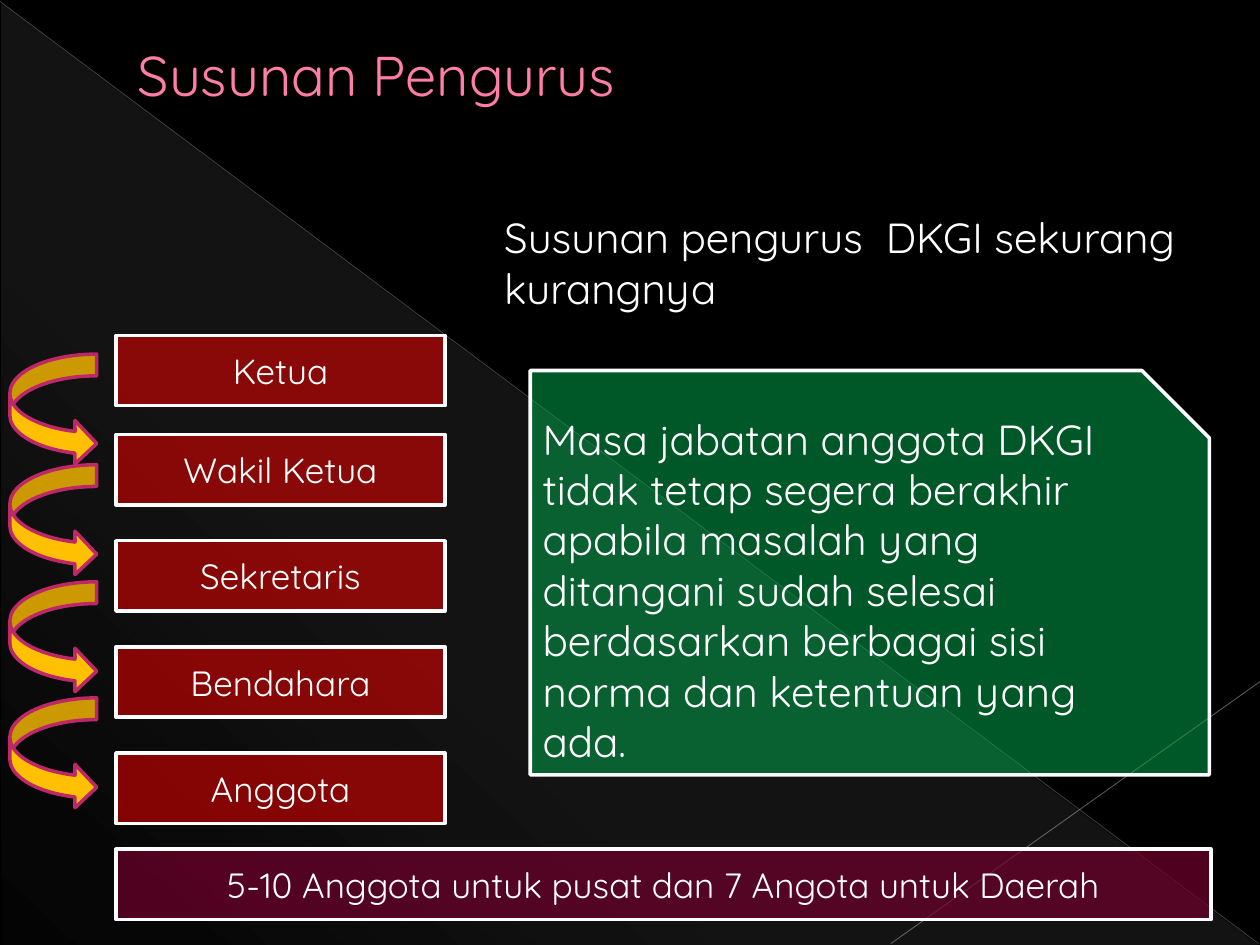
from lxml.etree import SubElement
from pptx import Presentation
from pptx.dml.color import RGBColor
from pptx.enum.shapes import MSO_CONNECTOR as Connector, MSO_SHAPE as Shape
from pptx.enum.text import MSO_ANCHOR as Anchor, MSO_AUTO_SIZE as AutoSize, PP_ALIGN as Align
from pptx.oxml import parse_xml
from pptx.oxml.ns import nsdecls, qn
from pptx.util import Cm, Pt

FONT = "Quicksand"
COLORS = {
    "background": "000000",
    "sheen": "D2D2D2",
    "diagonal": "BFBFBF",
    "corner": "C6C6C6",
    "title": "FF7DA7",
    "title_outline": "B12761",
    "white": "FFFFFF",
    "role": "FF0000",
    "members": "72002C",
    "term": "00B050",
    "arrow": "FFC000",
    "arrow_line": "BD2968",
}
ROLES = ["Ketua", "Wakil Ketua", "Sekretaris", "Bendahara", "Anggota"]
ROLE_TOPS = [6.76] + [8.76 + 2.14 * step for step in range(4)]
ARROW_TOPS = [7.14, 9.37, 11.73, 14.07]
LEFT, BOX_HEIGHT = 2.34, 1.42


def color(name):
    return RGBColor.from_string(COLORS[name])


def set_alpha(properties, percent):
    clr = next(properties.iter(qn("a:srgbClr")))
    SubElement(clr, qn("a:alpha"), val=str(percent * 1000))


def place(shape, left, top, width, height):
    shape.left, shape.top = Cm(left), Cm(top)
    shape.width, shape.height = Cm(width), Cm(height)


def add_run(paragraph, text, size, color_name="white"):
    run = paragraph.add_run()
    run.text = text
    run.font.name = FONT
    run.font.size = Pt(size)
    run.font.color.rgb = color(color_name)
    return run


def add_shape(slide, kind, box, fill, line, alpha=100):
    shape = slide.shapes.add_shape(kind, *map(Cm, box))
    shape.shadow.inherit = False
    shape.fill.solid()
    shape.fill.fore_color.rgb = color(fill)
    if alpha < 100:
        set_alpha(shape._element.spPr, alpha)
    shape.line.color.rgb = color(line)
    shape.line.width = Pt(2)
    return shape


def add_panel(slide, kind, box, fill, alpha, text, size, align=Align.CENTER):
    shape = add_shape(slide, kind, box, fill, "white", alpha)
    frame = shape.text_frame
    frame.word_wrap = True
    frame.vertical_anchor = Anchor.MIDDLE
    paragraph = frame.paragraphs[0]
    paragraph.alignment = align
    add_run(paragraph, text, size)


def add_line(slide, start, end, color_name, width, alpha):
    line = slide.shapes.add_connector(Connector.STRAIGHT, *map(Cm, start + end))
    line.line.color.rgb = color(color_name)
    line.line.width = Pt(width)
    properties = line._element.spPr
    set_alpha(properties, alpha)
    SubElement(properties, qn("a:effectLst"))


def add_backdrop(slide):
    slide.background.fill.solid()
    slide.background.fill.fore_color.rgb = color("background")
    triangle = slide.shapes.add_shape(
        Shape.RIGHT_TRIANGLE, Cm(0.03), Cm(0.05), Cm(25.35), Cm(19)
    )
    triangle.shadow.inherit = False
    triangle.line.fill.background()
    stops = "".join(
        f'<a:gs pos="{position * 1000}"><a:srgbClr val="{COLORS["sheen"]}">'
        f'<a:alpha val="{alpha * 1000}"/></a:srgbClr></a:gs>'
        for position, alpha in [(0, 10), (70, 8), (100, 1)]
    )
    gradient = parse_xml(
        f'<a:gradFill {nsdecls("a")}><a:gsLst>{stops}</a:gsLst>'
        f'<a:lin ang="{133 * 60000}" scaled="0"/></a:gradFill>'
    )
    triangle._element.spPr.find(qn("a:prstGeom")).addnext(gradient)
    add_line(slide, (0, 0.03), (25.37, 19.02), "diagonal", 0.39, 35)
    add_line(slide, (25.4, 13.74), (17.96, 19.02), "corner", 0.47, 45)


def fill_placeholder(slide, placeholder, box, anchor, indent, text, size, color_name):
    slide.shapes._spTree.append(placeholder._element)
    place(placeholder, *box)
    frame = placeholder.text_frame
    frame.word_wrap = True
    frame.auto_size = AutoSize.NONE
    frame.vertical_anchor = anchor
    paragraph = frame.paragraphs[0]
    properties = paragraph._p.get_or_add_pPr()
    properties.set("marL", str(Cm(indent)))
    properties.set("indent", "0")
    SubElement(properties, qn("a:buNone"))
    paragraph.alignment = Align.LEFT
    paragraph.space_before = Pt(0)
    return add_run(paragraph, text, size, color_name)


def add_title(slide):
    run = fill_placeholder(
        slide, slide.shapes.title, (1.17, 0, 13.11, 3), Anchor.MIDDLE,
        1.35, "Susunan Pengurus", 32, "title",
    )
    outline = parse_xml(
        f'<a:ln {nsdecls("a")} w="{Pt(0.5)}"><a:solidFill>'
        f'<a:srgbClr val="{COLORS["title_outline"]}"/></a:solidFill></a:ln>'
    )
    run.font._element.insert(0, outline)


def main():
    presentation = Presentation()
    presentation.slide_width, presentation.slide_height = Cm(25.4), Cm(19.05)
    slide = presentation.slides.add_slide(presentation.slide_layouts[1])
    add_backdrop(slide)
    add_title(slide)
    fill_placeholder(
        slide, slide.placeholders[1], (9.73, 4.14, 15.21, 2.49), Anchor.TOP,
        0.18, "Susunan pengurus  DKGI sekurang kurangnya", 24, "white",
    )
    for role, top in zip(ROLES, ROLE_TOPS):
        add_panel(slide, Shape.RECTANGLE, (LEFT, top, 6.63, BOX_HEIGHT), "role", 50, role, 20)
    for top in ARROW_TOPS:
        add_shape(slide, Shape.CURVED_RIGHT_ARROW, (0.2, top, 1.75, 2.24), "arrow", "arrow_line")
    add_panel(
        slide, Shape.RECTANGLE, (LEFT, 17.12, 22.07, BOX_HEIGHT), "members", 70,
        "5-10 Anggota untuk pusat dan 7 Angota untuk Daerah", 20,
    )
    add_panel(
        slide, Shape.SNIP_1_RECTANGLE, (10.69, 7.47, 13.69, 8.15), "term", 50,
        "Masa jabatan anggota DKGI tidak tetap segera berakhir apabila masalah yang "
        "ditangani sudah selesai berdasarkan berbagai sisi norma dan ketentuan yang ada.",
        24, Align.LEFT,
    )
    presentation.save("out.pptx")


if __name__ == "__main__":
    main()
